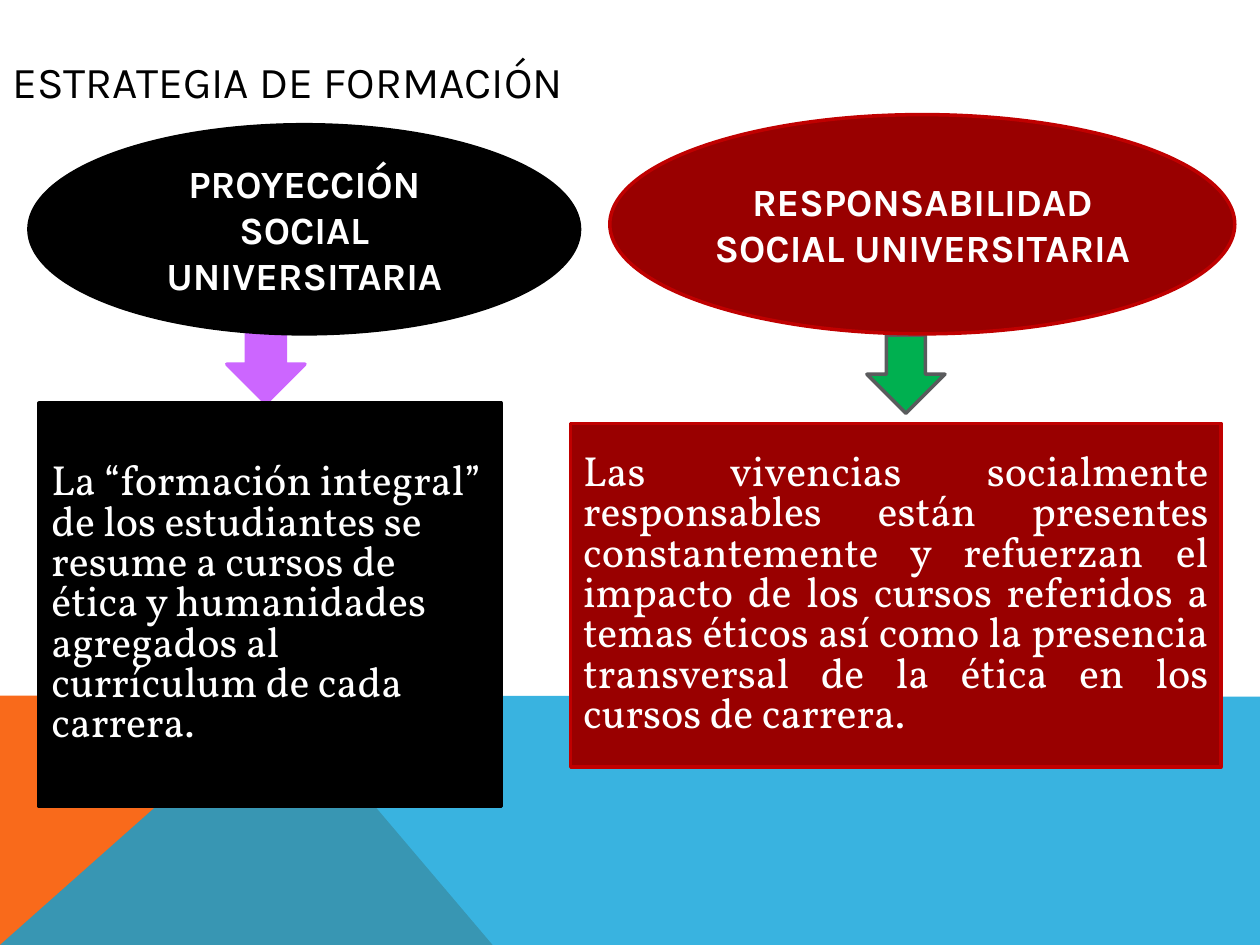
from lxml import etree
from pptx import Presentation, util as u
from pptx.dml.color import RGBColor
from pptx.enum import shapes, text
from pptx.oxml.ns import qn

WIDTH, HEIGHT = u.Inches(10), u.Inches(7.5)
SHAPE, ALIGN = shapes.MSO_SHAPE, text.PP_ALIGN

# All places are percentages of the slide: left, top, width, height.
BANDS = [
    ("F96A1B", None, [(0, 100), (0, 73.6), (22.3, 73.6), (39.1, 100)]),
    ("08A1D9", 80, [(0, 100), (22.3, 73.6), (100, 73.73), (100, 100)]),
]
TITLE = "ESTRATEGIA DE FORMACIÓN"
TITLE_PLACE = (0, 5.87, 90, 5.33)
ARROWS = [
    ((68.8, 35.47, 6.2, 8.27), "00B050", "5A5B5D"),
    ((18, 34.4, 6.2, 8.27), "CC66FF", "CC66FF"),
]
APPROACHES = [
    dict(fill="000000", line="000000", align=ALIGN.LEFT,
         heading="PROYECCIÓN SOCIAL UNIVERSITARIA",
         heading_place=(2.3, 13.2, 43.7, 22.13),
         detail="La “formación integral” de los estudiantes se resume a cursos "
                "de ética y humanidades agregados al currículum de cada carrera.",
         detail_place=(3.1, 42.67, 36.7, 42.67)),
    dict(fill="990000", line="C00000", align=ALIGN.JUSTIFY,
         heading="RESPONSABILIDAD SOCIAL UNIVERSITARIA",
         heading_place=(48.4, 12.13, 49.6, 23.2),
         detail="Las vivencias socialmente responsables están presentes "
                "constantemente y refuerzan el impacto de los cursos referidos a "
                "temas éticos así como la presencia transversal de la ética en "
                "los cursos de carrera.",
         detail_place=(45.3, 44.8, 51.6, 36.4)),
]
TITLE_FONT = dict(name="Karla", size=u.Pt(25.2))
HEADING_FONT = dict(name="Karla", size=u.Pt(22), bold=True)
DETAIL_FONT = dict(name="Vollkorn", size=u.Pt(24))


def rgb(value):
    return RGBColor.from_string(value)


def point(x, y):
    return round(WIDTH * x / 100), round(HEIGHT * y / 100)


def place(left, top, width, height):
    return *point(left, top), *point(width, height)


def add_band(slide, color, opacity, corners):
    start, *others = [point(*corner) for corner in corners]
    builder = slide.shapes.build_freeform(*start)
    builder.add_line_segments(others, close=True)
    band = builder.convert_to_shape()
    band.shadow.inherit = False
    band.line.fill.background()
    band.fill.solid()
    band.fill.fore_color.rgb = rgb(color)
    if opacity:
        tint = band.fill._xPr.find(".//" + qn("a:srgbClr"))
        etree.SubElement(tint, qn("a:alpha"), val=str(opacity * 1000))


def add_figure(slide, preset, area, fill, line):
    figure = slide.shapes.add_shape(preset, *place(*area))
    figure.shadow.inherit = False
    figure.fill.solid()
    figure.fill.fore_color.rgb = rgb(fill)
    figure.line.color.rgb = rgb(line)
    figure.line.width = u.Pt(2)
    return figure


def write(holder, words, font, color, align, spacing=1.0):
    frame = holder.text_frame
    frame.word_wrap = True
    frame.vertical_anchor = text.MSO_ANCHOR.MIDDLE
    paragraph = frame.paragraphs[0]
    paragraph.alignment = align
    paragraph.line_spacing = spacing
    run = paragraph.add_run()
    run.text = words
    for key, value in font.items():
        setattr(run.font, key, value)
    run.font.color.rgb = rgb(color)


def main():
    deck = Presentation()
    deck.slide_width, deck.slide_height = WIDTH, HEIGHT
    slide = deck.slides.add_slide(deck.slide_layouts[6])

    for band in BANDS:
        add_band(slide, *band)
    for arrow in ARROWS:
        add_figure(slide, SHAPE.DOWN_ARROW, *arrow)

    title = slide.shapes.add_textbox(*place(*TITLE_PLACE))
    write(title, TITLE, TITLE_FONT, "000000", ALIGN.LEFT)

    for side in APPROACHES:
        colors = side["fill"], side["line"]
        heading = add_figure(slide, SHAPE.OVAL, side["heading_place"], *colors)
        write(heading, side["heading"], HEADING_FONT, "FFFFFF", ALIGN.CENTER)
        detail = add_figure(slide, SHAPE.RECTANGLE, side["detail_place"], *colors)
        write(detail, side["detail"], DETAIL_FONT, "FFFFFF", side["align"], 0.8)

    deck.save("out.pptx")


if __name__ == "__main__":
    main()
